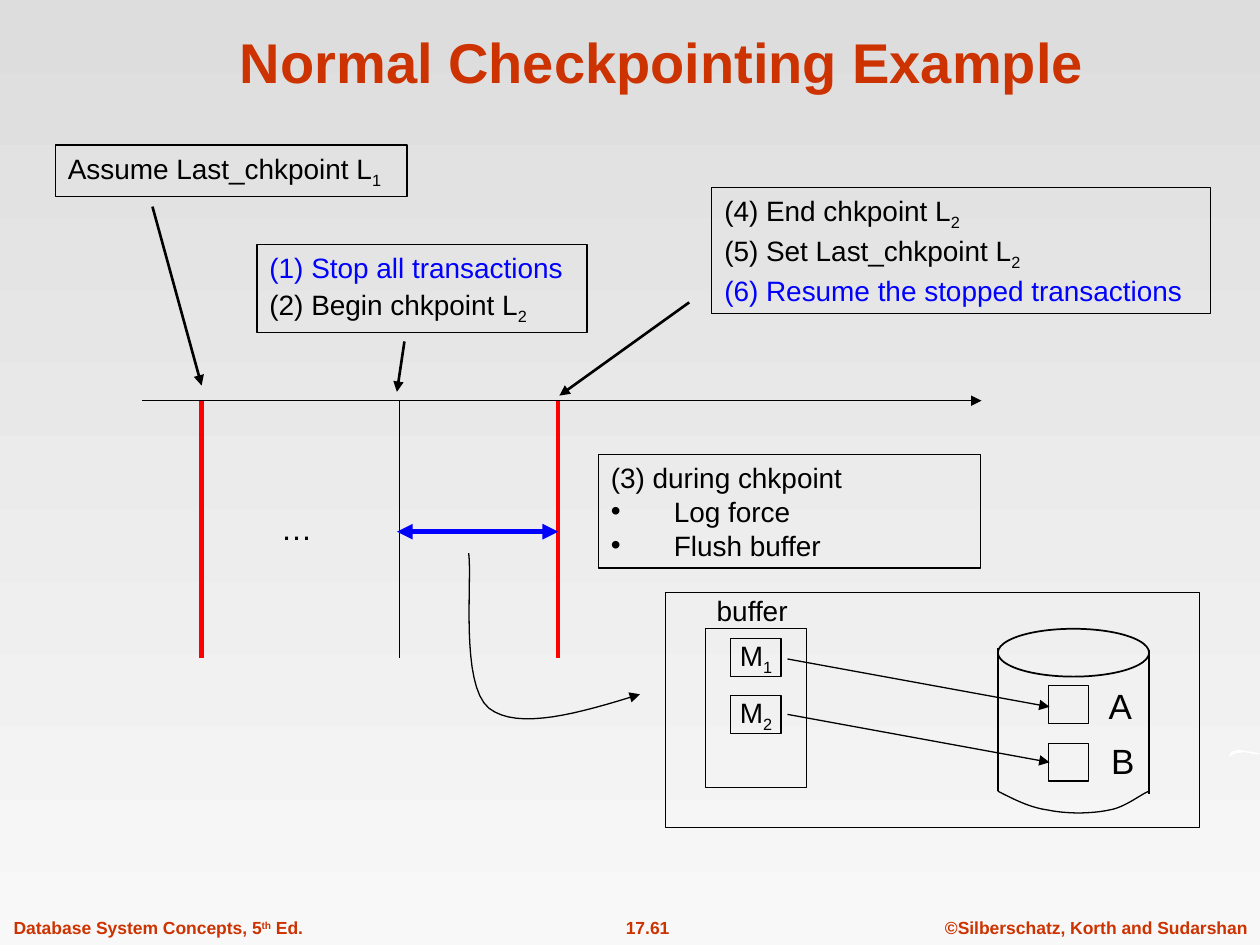
from lxml import etree
from pptx import Presentation
from pptx.dml.color import RGBColor
from pptx.enum import shapes, text
from pptx.oxml import ns
from pptx.util import Inches, Pt

COLORS = {"black": "000000", "red": "FF0000", "blue": "0000FF", "rust": "CC3300",
          "white": "FFFFFF", "top": "DDDDDD", "bottom": "F8F8F8"}
FONT = "Arial"
LEFT, CENTER = text.PP_ALIGN.LEFT, text.PP_ALIGN.CENTER
SUBSCRIPT, SUPERSCRIPT = "-25000", "30000"


def color(name):
    return RGBColor.from_string(COLORS[name])


def write(shape, lines, size=16, colors=("black",), bold=False, align=LEFT, wrap=True,
          anchor=text.MSO_ANCHOR.TOP, shift=SUBSCRIPT, spacing=0):
    """Each line is a tuple of runs; every second run is raised or lowered."""
    frame = shape.text_frame
    frame.word_wrap = wrap
    frame.auto_size = text.MSO_AUTO_SIZE.NONE
    frame.vertical_anchor = anchor
    for index, runs in enumerate(lines):
        paragraph = frame.add_paragraph() if index else frame.paragraphs[0]
        paragraph.alignment = align
        if index:
            paragraph.space_before = Pt(spacing)
        for position, words in enumerate(runs):
            run = paragraph.add_run()
            run.text = words
            run.font.name, run.font.size, run.font.bold = FONT, Pt(size), bold
            run.font.color.rgb = color(colors[index % len(colors)])
            if position % 2:
                run.font._element.set("baseline", shift)


def add_label(slide, left, top, width, height, lines, **style):
    label = slide.shapes.add_textbox(*map(Inches, (left, top, width, height)))
    write(label, lines, **style)


def add_outline(slide, left, top, width, height, lines=(), weight=0.75,
                kind=shapes.MSO_SHAPE.RECTANGLE, **style):
    shape = slide.shapes.add_shape(kind, *map(Inches, (left, top, width, height)))
    shape.shadow.inherit = False
    shape.fill.background()
    shape.line.color.rgb = color("black")
    shape.line.width = Pt(weight)
    if lines:
        write(shape, lines, **style)


def style_line(line_shape, name, weight, head, tail):
    line_shape.line.color.rgb = color(name)
    line_shape.line.width = Pt(weight)
    outline = line_shape.line._get_or_add_ln()
    for tag, wanted in (("a:headEnd", head), ("a:tailEnd", tail)):
        if wanted:
            etree.SubElement(outline, ns.qn(tag)).set("type", "triangle")


def add_line(slide, x1, y1, x2, y2, name="black", weight=0.75, head=False, tail=False):
    connector = slide.shapes.add_connector(
        shapes.MSO_CONNECTOR.STRAIGHT, *map(Inches, (x1, y1, x2, y2)))
    style_line(connector, name, weight, head, tail)
    etree.SubElement(connector._element.spPr, ns.qn("a:effectLst"))


def add_path(slide, points, closed=False):
    points = [(Inches(x), Inches(y)) for x, y in points]
    builder = slide.shapes.build_freeform(*points[0])
    builder.add_line_segments(points[1:], close=closed)
    shape = builder.convert_to_shape()
    shape.shadow.inherit = False
    return shape


def add_curve(slide, points, tail=False):
    """Draw joined cubic curves: a start, then two controls and an end for each."""
    steps = 16
    track = [points[0]]
    for first in range(0, len(points) - 1, 3):
        corners = points[first:first + 4]
        for step in range(1, steps + 1):
            t = step / steps
            weights = ((1 - t) ** 3, 3 * t * (1 - t) ** 2, 3 * t * t * (1 - t), t ** 3)
            track.append(tuple(sum(w * corner[axis] for w, corner in zip(weights, corners))
                               for axis in (0, 1)))
    curve = add_path(slide, track)
    curve.fill.background()
    style_line(curve, "black", 0.75, False, tail)


def add_background(slide):
    fill = slide.background.fill
    fill.gradient()
    fill.gradient_angle = 270
    for stop, name, position in zip(fill.gradient_stops, ("top", "bottom"), (0, 1)):
        stop.color.rgb = color(name)
        stop.position = position
    # White sliver at the right edge
    sliver = add_path(slide, [(9.75, 6.01), (9.77, 5.97), (9.83, 5.95), (9.88, 5.96),
                              (9.95, 5.97), (10, 5.98), (9.98, 5.99), (9.88, 5.97),
                              (9.8, 5.98)], closed=True)
    sliver.fill.solid()
    sliver.fill.fore_color.rgb = color("white")
    sliver.line.fill.background()


def add_title(slide, left, top, width, height):
    title = slide.shapes.title
    title.left, title.top, title.width, title.height = map(Inches, (left, top, width, height))
    write(title, [("Normal Checkpointing Example",)], size=32, colors=("rust",), bold=True,
          align=CENTER, anchor=text.MSO_ANCHOR.BOTTOM)


def add_footer(slide, top, height):
    for left, width, runs, align in (
            (0.01, 2.49, ("Database System Concepts, 5", "th", " Ed."), LEFT),
            (4.61, 1.06, ("17.61",), CENTER),
            (7.4, 2.6, ("©Silberschatz, Korth and Sudarshan",), CENTER)):
        add_label(slide, left, top, width, height, [runs], size=10, colors=("rust",),
                  bold=True, align=align, wrap=False, shift=SUPERSCRIPT)


def add_timeline(slide, left, top, width, height):
    add_line(slide, left, top, left + width, top, tail=True)
    # Last checkpoint, begin and end of the new one
    for offset, name, weight in ((0.47, "red", 2.5), (2.04, "black", 0.75), (3.3, "red", 2.5)):
        add_line(slide, left + offset, top, left + offset, top + height, name, weight)
    add_line(slide, left + 2.02, top + 1.04, left + 3.3, top + 1.04, "blue", 3,
             head=True, tail=True)
    add_label(slide, left + 1, top + 0.81, 0.45, 0.4, [("…",)], size=18, wrap=False)
    # Curved arrow to the buffer panel
    curve = [(2.59, 1.21), (2.62, 1.42), (2.52, 2.25), (2.75, 2.44),
             (2.98, 2.62), (3.47, 2.48), (3.95, 2.33)]
    add_curve(slide, [(left + x, top + y) for x, y in curve], tail=True)


def add_steps(slide):
    add_outline(slide, 0.44, 1.15, 2.79, 0.41, [("Assume Last_chkpoint L", "1")])
    add_outline(slide, 2.04, 1.94, 2.62, 0.7,
                [("(1) Stop all transactions",), ("(2) Begin chkpoint L", "2")],
                colors=("blue", "black"), spacing=2)
    add_outline(slide, 5.65, 1.49, 3.96, 1,
                [("(4) End chkpoint L", "2"), ("(5) Set Last_chkpoint L", "2"),
                 ("(6) Resume the stopped transactions",)],
                colors=("black", "black", "blue"), spacing=1)
    for ends in ((1.21, 1.64, 1.6, 3.06), (3.21, 2.71, 3.15, 3.11), (5.47, 2.4, 4.44, 3.14)):
        add_line(slide, *ends, weight=1.5, tail=True)


def add_during_step(slide, left, top, width, height):
    add_outline(slide, left, top, width, height,
                [("(3) during chkpoint",), ("Log force",), ("Flush buffer",)])
    for index, paragraph in enumerate(slide.shapes[-1].text_frame.paragraphs):
        properties = paragraph._p.get_or_add_pPr()
        properties.set("marL", str(Inches(0.5)))
        properties.set("indent", str(-Inches(0.5)))
        if index:
            etree.SubElement(properties, ns.qn("a:buFont")).set("typeface", FONT)
            etree.SubElement(properties, ns.qn("a:buChar")).set("char", "•")


def add_buffer_panel(slide, left, top, width, height):
    add_outline(slide, left, top, width, height)
    # Buffer
    add_label(slide, left + 0.31, top - 0.04, 0.76, 0.37, [("buffer",)], wrap=False)
    add_outline(slide, left + 0.32, top + 0.29, 0.8, 1.26)
    # Disk
    disk, rim, base, disk_width = left + 2.64, top + 0.29, top + 1.58, 1.2
    add_outline(slide, disk, rim, disk_width, 0.38, weight=1, kind=shapes.MSO_SHAPE.OVAL)
    for side, drop in ((disk, 0), (disk + disk_width, 0.02)):
        add_line(slide, side, rim + 0.15 + drop, side, base + drop)
    curve = [(0, 0), (0.12, 0.06), (0.25, 0.13), (0.4, 0.15), (0.54, 0.18),
             (0.74, 0.18), (0.88, 0.15), (1.01, 0.13), (1.14, 0.02), (1.2, 0)]
    add_curve(slide, [(disk + x, base + y) for x, y in curve])
    # Each buffer block is flushed to its disk block
    for row, (number, letter) in enumerate((("1", "A"), ("2", "B"))):
        line_top = top + 0.53 + 0.44 * row
        add_outline(slide, left + 0.52, top + 0.37 + 0.45 * row, 0.4, 0.3, [("M", number)],
                    align=CENTER, wrap=False, anchor=text.MSO_ANCHOR.MIDDLE)
        add_outline(slide, disk + 0.4, top + 0.74 + 0.46 * row, 0.32, 0.3)
        add_label(slide, disk + 0.78 + 0.02 * row, top + 0.68 + 0.44 * row, 0.38, 0.44,
                  [(letter,)], size=20, wrap=False)
        add_line(slide, left + 0.97, line_top, disk + 0.41, line_top + 0.38, tail=True)


def main():
    presentation = Presentation()
    presentation.slide_width, presentation.slide_height = Inches(10), Inches(7.5)
    slide = presentation.slides.add_slide(presentation.slide_layouts[5])
    add_background(slide)
    add_title(slide, 0.84, 0.13, 8.83, 0.67)
    add_footer(slide, 7.23, 0.27)
    add_timeline(slide, 1.13, 3.18, 6.66, 2.04)
    add_during_step(slide, 4.75, 3.61, 3.03, 0.9)
    add_buffer_panel(slide, 5.28, 4.7, 4.24, 1.87)
    add_steps(slide)
    presentation.save("out.pptx")


if __name__ == "__main__":
    main()
